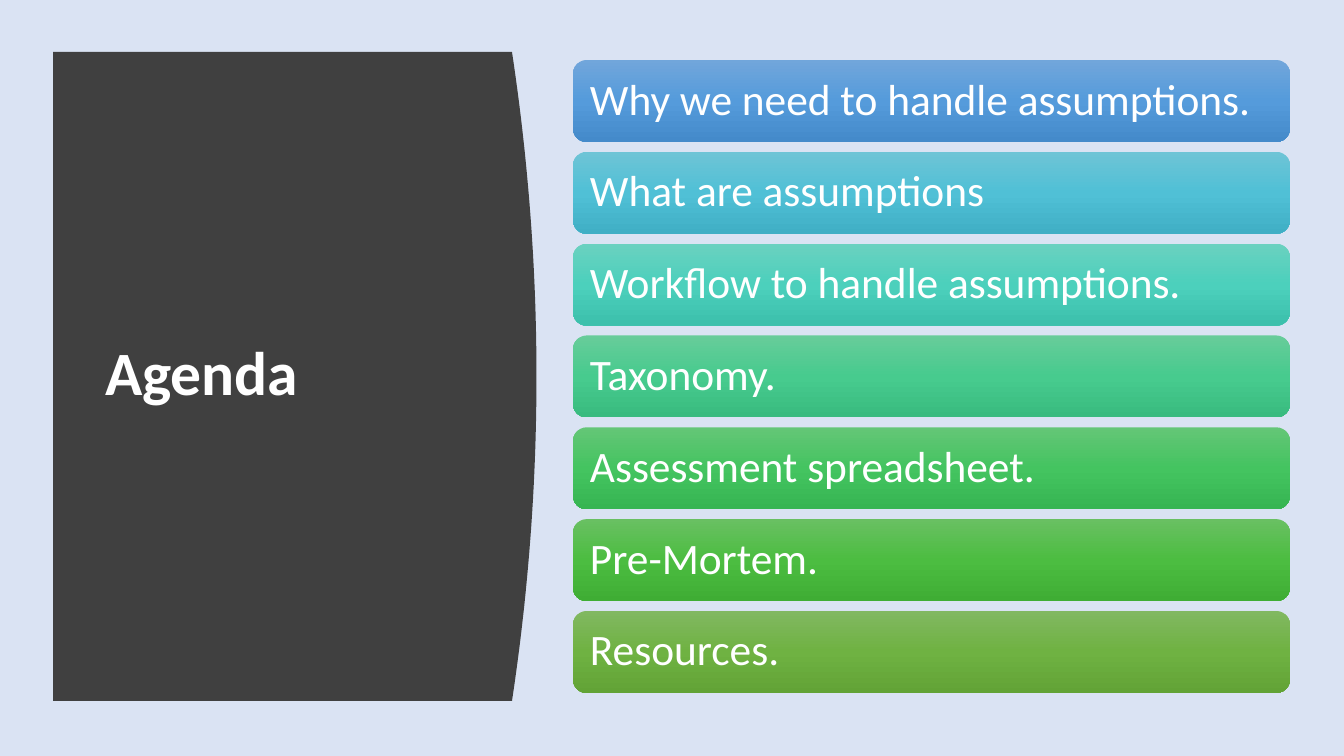
from copy import deepcopy

from pptx import Presentation
from pptx.dml.color import RGBColor
from pptx.enum.shapes import MSO_SHAPE
from pptx.enum.text import MSO_ANCHOR, PP_ALIGN
from pptx.oxml.ns import qn
from pptx.util import Pt

ROUNDED = MSO_SHAPE.ROUNDED_RECTANGLE
MIDDLE = MSO_ANCHOR.MIDDLE
LEFT = PP_ALIGN.LEFT

# Content: agenda entries with their top, middle and bottom colours
HEADING = "Agenda"
AGENDA = [
    ("Why we need to handle assumptions.", ("71A6DB", "559BDB", "448ACA")),
    ("What are assumptions", ("6EC4D6", "50C0D6", "40AFC5")),
    ("Workflow to handle assumptions.", ("6AD1C0", "4CD0BC", "3CC0AC")),
    ("Taxonomy.", ("67CC9A", "47CB8E", "39BB7F")),
    ("Assessment spreadsheet.", ("64C677", "44C460", "36B552")),
    ("Pre-Mortem.", ("69C062", "4CBD41", "3FAD34")),
    ("Resources.", ("81B861", "6FB242", "62A336")),
]

THEME = {
    "background": "DAE3F3",
    "panel": "404040",
    "text": "FFFFFF",
    "font": "Calibri",
    "heading_size": 44,
    "entry_size": 31,
}

# Layout in pixels
SCALE = 914400 / 100.8
SLIDE = (1344, 756)
PANEL = {"left": 53, "top": 52, "right": 512, "bottom": 701, "bulge": 24.5}
HEADING_BOX = (95, 112, 377, 528)
BARS = {"left": 573, "top": 60, "width": 717, "height": 82, "bottom": 693}
BAR_INSET = 13
CURVE_STEPS = 48


def px(value):
    return round(value * SCALE)


def color(key):
    return RGBColor.from_string(THEME[key])


def write(shape, text, size, bold, inset):
    frame = shape.text_frame
    frame.text = text
    margins = {f"margin_{side}": px(inset)
               for side in ("left", "right", "top", "bottom")}
    paragraph = frame.paragraphs[0]
    font = paragraph.runs[0].font
    formats = [
        (frame, {"word_wrap": True, "vertical_anchor": MIDDLE, **margins}),
        (paragraph, {"alignment": LEFT, "line_spacing": 0.9}),
        (font, {"name": THEME["font"], "size": Pt(size), "bold": bold}),
    ]
    for target, values in formats:
        for name, value in values.items():
            setattr(target, name, value)
    font.color.rgb = color("text")


def shade(shape, colors):
    shape.fill.gradient()
    shape.fill.gradient_angle = 270
    stop_list = shape._element.spPr.find(".//" + qn("a:gsLst"))
    stop_list.append(deepcopy(stop_list[-1]))
    for index, (stop, rgb) in enumerate(zip(shape.fill.gradient_stops, colors)):
        stop.position = index / (len(colors) - 1)
        stop.color.rgb = RGBColor.from_string(rgb)


presentation = Presentation()
presentation.slide_width, presentation.slide_height = map(px, SLIDE)
slide = presentation.slides.add_slide(presentation.slide_layouts[5])
slide.background.fill.solid()
slide.background.fill.fore_color.rgb = color("background")

# Dark panel whose right edge is a parabola
middle = (PANEL["top"] + PANEL["bottom"]) / 2
half = PANEL["bottom"] - middle
edge = []
for step in range(CURVE_STEPS + 1):
    t = 2 * step / CURVE_STEPS - 1
    edge.append((px(PANEL["right"] + PANEL["bulge"] * (1 - t * t)),
                 px(middle + half * t)))
outline = slide.shapes.build_freeform(px(PANEL["left"]), px(PANEL["top"]))
outline.add_line_segments(edge + [(px(PANEL["left"]), px(PANEL["bottom"]))])
panel = outline.convert_to_shape()
panel.shadow.inherit = False
panel.fill.solid()
panel.fill.fore_color.rgb = color("panel")
panel.line.fill.background()

# Heading, lifted in front of the panel
heading = slide.shapes.title
heading.left, heading.top, heading.width, heading.height = map(px, HEADING_BOX)
write(heading, HEADING, THEME["heading_size"], True, 10)
panel._element.addnext(heading._element)

# Agenda bars, evenly spread from top to bottom
pitch = ((BARS["bottom"] - BARS["top"] - BARS["height"])
         / (len(AGENDA) - 1))
for index, (entry, colors) in enumerate(AGENDA):
    bar = slide.shapes.add_shape(
        ROUNDED, px(BARS["left"]), px(BARS["top"] + index * pitch),
        px(BARS["width"]), px(BARS["height"]))
    bar.shadow.inherit = False
    bar.line.fill.background()
    shade(bar, colors)
    write(bar, entry, THEME["entry_size"], False, BAR_INSET)

presentation.save("out.pptx")
